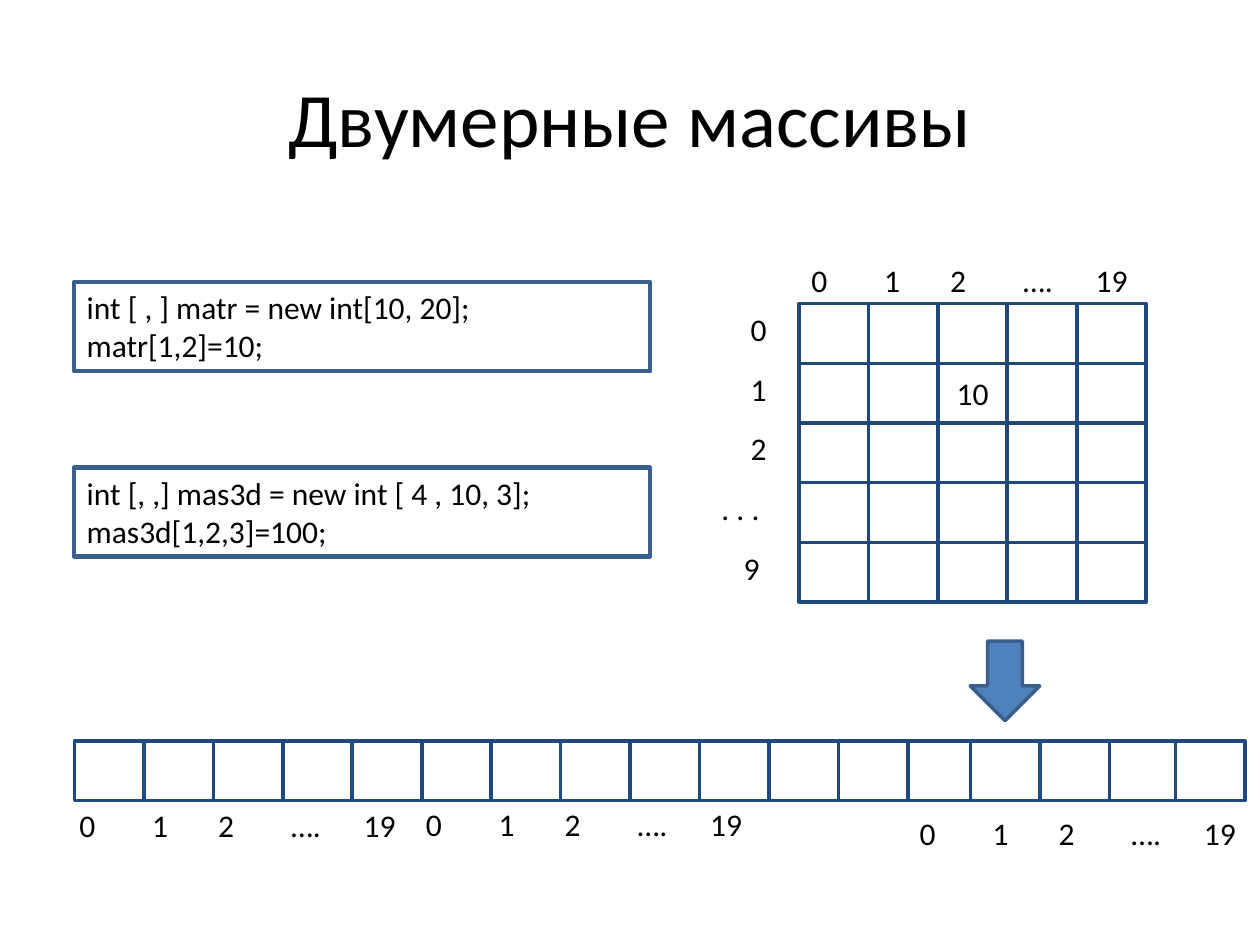
from lxml.etree import SubElement
from pptx import Presentation
from pptx.dml.color import RGBColor
from pptx.enum.shapes import MSO_SHAPE as Shape
from pptx.enum.text import MSO_ANCHOR as Anchor, PP_ALIGN as Align
from pptx.oxml.ns import qn
from pptx.util import Pt

TITLE = "Двумерные массивы"
CODE = [
    (161.3, ["int [ , ] matr = new int[10, 20];", "matr[1,2]=10;"]),
    (267.2, ["int [, ,] mas3d = new int [ 4 , 10, 3];", "mas3d[1,2,3]=100;"]),
]
COLUMN_LABELS = ["0", "1", "2", "….", "19"]
ROW_LABELS = ["0", "1", "2", ". . . ", "9 "]
MATRIX_VALUES = {(1, 2): "10"}

COLORS = {"text": "000000", "cell": "FFFFFF", "grid": "1F497D",
          "arrow": "4F81BD", "outline": "3A5F8C"}
CELL_W, CELL_H = 39.7, 34.1
MATRIX_LEFT, MATRIX_TOP = 456.5, 173.5
STRIP_LEFT, STRIP_TOP = 42.5, 423.4
LABEL_W, LABEL_H = 198.5, 29.1
LABEL_TABS = [41.7, 79.4, 121, 162.5]
# Left edge and number of cells of each run, from back to front
STRIP_RUNS = [(STRIP_LEFT, 10), (514.8, 4), (671.8, 1),
              (STRIP_LEFT + 10 * CELL_W, 2)]
STRIP_LABELS = [(38.2, 457.2), (236.2, 456.5), (518.4, 461.5)]


def color(name):
    return RGBColor.from_string(COLORS[name])


def write(sp, lines, align=Align.LEFT, anchor=Anchor.TOP, size=18):
    tf = sp.text_frame
    for name, value in {"word_wrap": True, "vertical_anchor": anchor}.items():
        setattr(tf, name, value)
    for i, line in enumerate(lines):
        p = tf.paragraphs[0] if i == 0 else tf.add_paragraph()
        p.alignment = align
        r = p.add_run()
        r.text = line
        for name, value in {"size": Pt(size), "name": "Calibri"}.items():
            setattr(r.font, name, value)
        r.font.color.rgb = color("text")


def add_box(shapes, kind, box, fill, line, width=2):
    sp = shapes.add_shape(kind, *map(Pt, box))
    sp.shadow.inherit = False
    if fill:
        sp.fill.solid()
        sp.fill.fore_color.rgb = color(fill)
    else:
        sp.fill.background()
    sp.line.color.rgb = color(line)
    sp.line.width = Pt(width)
    return sp


def add_cell(shapes, left, top):
    return add_box(shapes, Shape.RECTANGLE, (left, top, CELL_W, CELL_H),
                   "cell", "grid")


def add_label(shapes, left, top, width, text, align=Align.LEFT):
    tb = shapes.add_textbox(*map(Pt, (left, top, width, LABEL_H)))
    write(tb, [text], align)
    return tb


def add_column_labels(shapes, left, top):
    """Put the column indices on one line, spaced by tab stops."""
    tb = add_label(shapes, left, top, LABEL_W, "\t".join(COLUMN_LABELS))
    pPr = tb.text_frame.paragraphs[0]._p.get_or_add_pPr()
    tabs = SubElement(pPr, qn("a:tabLst"))
    for pos in LABEL_TABS:
        SubElement(tabs, qn("a:tab"), pos=str(int(Pt(pos))), algn="l")


def add_matrix(slide):
    shapes = slide.shapes.add_group_shape().shapes
    for row in range(len(ROW_LABELS)):
        for col in range(len(COLUMN_LABELS)):
            sp = add_cell(shapes, MATRIX_LEFT + col * CELL_W,
                          MATRIX_TOP + row * CELL_H)
            if (row, col) in MATRIX_VALUES:
                write(sp, [MATRIX_VALUES[row, col]], Align.CENTER, Anchor.MIDDLE)
    add_column_labels(shapes, MATRIX_LEFT, MATRIX_TOP - 28.1)
    for row, text in enumerate(ROW_LABELS):
        add_label(shapes, 399.8, MATRIX_TOP + row * CELL_H, 45.4, text,
                  Align.RIGHT)


def add_strip(slide):
    shapes = slide.shapes.add_group_shape().shapes
    for left, count in STRIP_RUNS:
        for i in range(count):
            add_cell(shapes, left + i * CELL_W, STRIP_TOP)
    for left, top in STRIP_LABELS:
        add_column_labels(shapes, left, top)


def main():
    prs = Presentation()
    prs.slide_width, prs.slide_height = Pt(720), Pt(540)
    slide = prs.slides.add_slide(prs.slide_layouts[5])

    title = slide.shapes.title
    box = {"left": 36, "top": 21.6, "width": 648, "height": 90}
    for name, value in box.items():
        setattr(title, name, Pt(value))
    write(title, [TITLE], Align.CENTER, Anchor.MIDDLE, 44)

    add_matrix(slide)
    add_strip(slide)
    add_box(slide.shapes, Shape.DOWN_ARROW, (554.4, 366.4, CELL_W, 45.4),
            "arrow", "outline")
    for top, lines in CODE:
        sp = add_box(slide.shapes, Shape.RECTANGLE, (STRIP_LEFT, top, 329, 50.9),
                     None, "outline", 2.5)
        write(sp, lines)

    prs.save("out.pptx")


if __name__ == "__main__":
    main()
